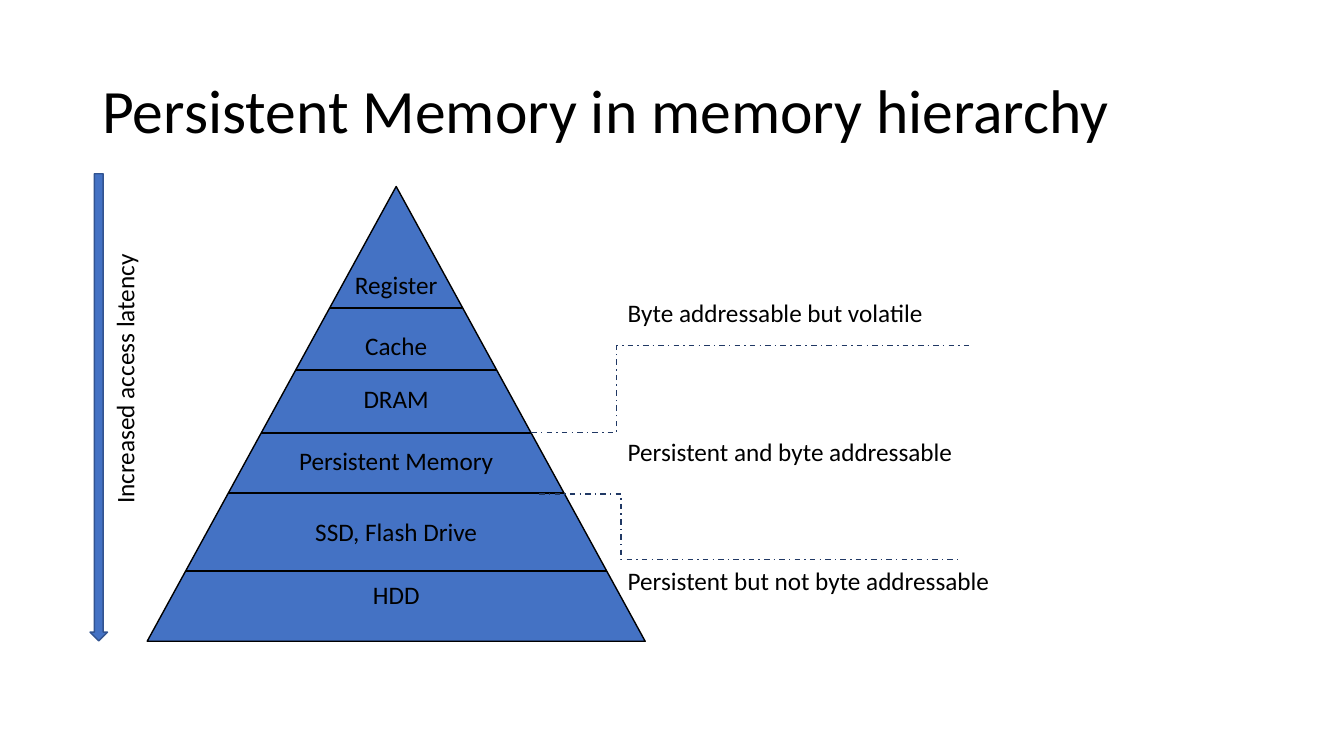
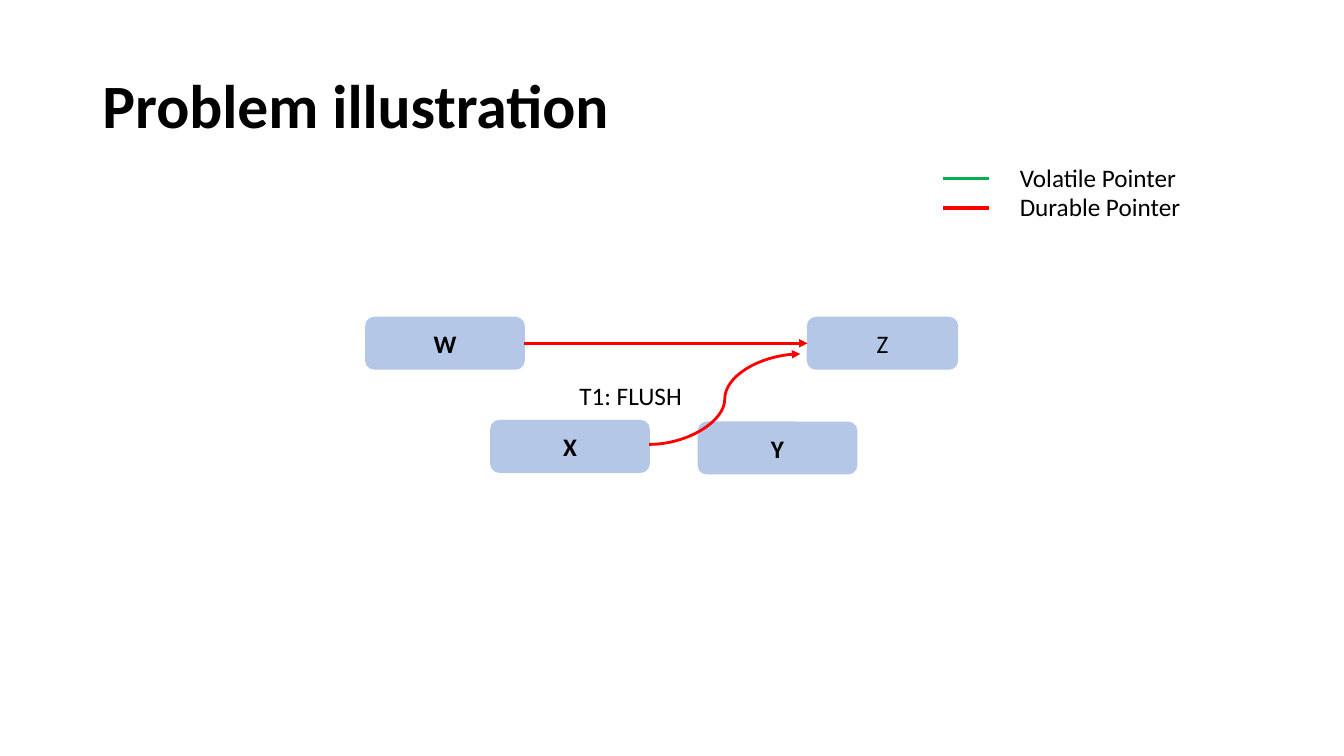
from lxml.etree import SubElement
from pptx import Presentation
from pptx.dml.color import RGBColor
from pptx.enum.dml import MSO_LINE as Dash
from pptx.enum.shapes import MSO_CONNECTOR as Link, MSO_SHAPE as Form
from pptx.enum.text import MSO_ANCHOR as Anchor, PP_ALIGN as Align
from pptx.oxml.ns import qn
from pptx.util import Cm, Pt

BLACK = RGBColor(0x00, 0x00, 0x00)
BLUE = RGBColor(0x44, 0x72, 0xC4)
EDGE = RGBColor(0x32, 0x54, 0x91)
NAVY = RGBColor(0x20, 0x38, 0x64)
PALE = RGBColor(0xB4, 0xC7, 0xE7)
RED = RGBColor(0xFF, 0x00, 0x00)
GREEN = RGBColor(0x00, 0xB0, 0x50)
FONT = "Calibri"
ROW = 1.02


def write(item, text, size=18, bold=False, align=Align.LEFT, anchor=Anchor.TOP, space=1.0):
    """Put formatted text into a shape."""
    frame = item.text_frame
    frame.word_wrap = True
    frame.vertical_anchor = anchor
    para = frame.paragraphs[0]
    para.alignment = align
    para.line_spacing = space
    run = para.add_run()
    run.text = text
    font = run.font
    font.name, font.size, font.bold = FONT, Pt(size), bold
    font.color.rgb = BLACK


def label(slide, text, left, top, width, height=ROW, **style):
    """Add a text box and return it."""
    item = slide.shapes.add_textbox(Cm(left), Cm(top), Cm(width), Cm(height))
    write(item, text, **style)
    return item


def title(slide, text, height, bold=False):
    """Add the slide title."""
    label(slide, text, 2.33, 1.02, 29.21, height, size=44, bold=bold,
          anchor=Anchor.MIDDLE, space=0.9)


def shape(slide, form, left, top, width, height, fill, edge):
    """Add a filled shape with a thin outline."""
    item = slide.shapes.add_shape(form, Cm(left), Cm(top), Cm(width), Cm(height))
    item.shadow.inherit = False
    item.fill.solid()
    item.fill.fore_color.rgb = fill
    item.line.color.rgb = edge
    item.line.width = Pt(1)
    return item


def line(slide, start, end, color, width, kind=Link.STRAIGHT, dash=None, bend=None, arrow=False):
    """Add a line, bent or curved if asked, and return it."""
    item = slide.shapes.add_connector(kind, *(Cm(n) for n in start + end))
    item.line.color.rgb = color
    item.line.width = Pt(width)
    if dash:
        item.line.dash_style = dash
    props = item._element.spPr
    if arrow:
        SubElement(props.find(qn("a:ln")), qn("a:tailEnd"), type="triangle")
    if bend:
        guides = props.find(qn("a:prstGeom")).find(qn("a:avLst"))
        SubElement(guides, qn("a:gd"), name="adj1", fmla=f"val {round(bend * 100000)}")
    SubElement(props, qn("a:effectLst"))
    return item


def pyramid(slide, left, top, width, height, cuts, levels):
    """Draw a pyramid cut into labelled levels."""
    shape(slide, Form.FLOWCHART_EXTRACT, left, top, width, height, BLUE, BLACK)
    mid = left + width / 2
    for cut in cuts:
        half = (cut - top) / height * width / 2
        line(slide, (mid - half, cut), (mid + half, cut), BLACK, 1.5)
    for text, place in levels:
        label(slide, text, mid - 3, place, 6, align=Align.CENTER)


def node(slide, text, left, top, width=3.99, bold=True):
    """Add a rounded node and return it."""
    item = shape(slide, Form.ROUNDED_RECTANGLE, left, top, width, 1.3, PALE, PALE)
    write(item, text, bold=bold, align=Align.CENTER, anchor=Anchor.MIDDLE)
    return item


def memory(slide):
    """Build the memory hierarchy slide."""
    title(slide, "Persistent Memory in memory hierarchy", 3.68)
    pyramid(slide, 3.71, 4.7, 12.55, 11.46, (7.75, 9.32, 10.9, 12.42, 14.38),
            (("Register", 6.65), ("Cache", 8.2), ("DRAM", 9.53),
             ("Persistent Memory", 11.1), ("SSD, Flash Drive", 12.88), ("HDD", 14.48)))
    shape(slide, Form.DOWN_ARROW, 2.27, 4.38, 0.44, 11.77, BLUE, EDGE)
    label(slide, "Increased access latency", -0.51, 8.79, 7.29).rotation = 270
    for start, end in (((13.39, 10.9), (24.41, 8.71)), ((13.59, 12.45), (24.18, 14.1))):
        line(slide, start, end, NAVY, 1, kind=Link.ELBOW, dash=Dash.DASH_DOT, bend=0.195)
    for text, top in (("Byte addressable but volatile", 7.37),
                      ("Persistent and byte addressable", 10.87),
                      ("Persistent but not byte addressable", 14.12)):
        label(slide, text, 15.57, top, 10.6)


def problem(slide):
    """Build the pointer problem slide."""
    title(slide, "Problem illustration", 3.45, bold=True)
    first = node(slide, "W", 9.22, 8)
    last = node(slide, "Z", 20.35, 8, width=3.78, bold=False)
    node(slide, "X", 12.37, 10.6)
    node(slide, "Y", 17.6, 10.64)
    flat = line(slide, (13.21, 8.65), (20.35, 8.65), RED, 2, arrow=True)
    flat.begin_connect(first, 3)
    flat.end_connect(last, 1)
    line(slide, (16.36, 11.2), (20.17, 8.92), RED, 2, kind=Link.CURVE, arrow=True)
    label(slide, "T1: FLUSH", 14.35, 9.47, 3.33)
    for row, (text, color) in enumerate((("Volatile Pointer", GREEN), ("Durable Pointer", RED))):
        top = 3.96 + row * 0.74
        line(slide, (23.77, top + 0.54), (24.92, top + 0.54), color, 2.5)
        label(slide, text, 25.45, top, 4.8)


def main():
    """Build and save the deck."""
    deck = Presentation()
    deck.slide_width, deck.slide_height = Cm(33.87), Cm(19.05)
    for build in (memory, problem):
        build(deck.slides.add_slide(deck.slide_layouts[6]))
    deck.save("out.pptx")


if __name__ == "__main__":
    main()
